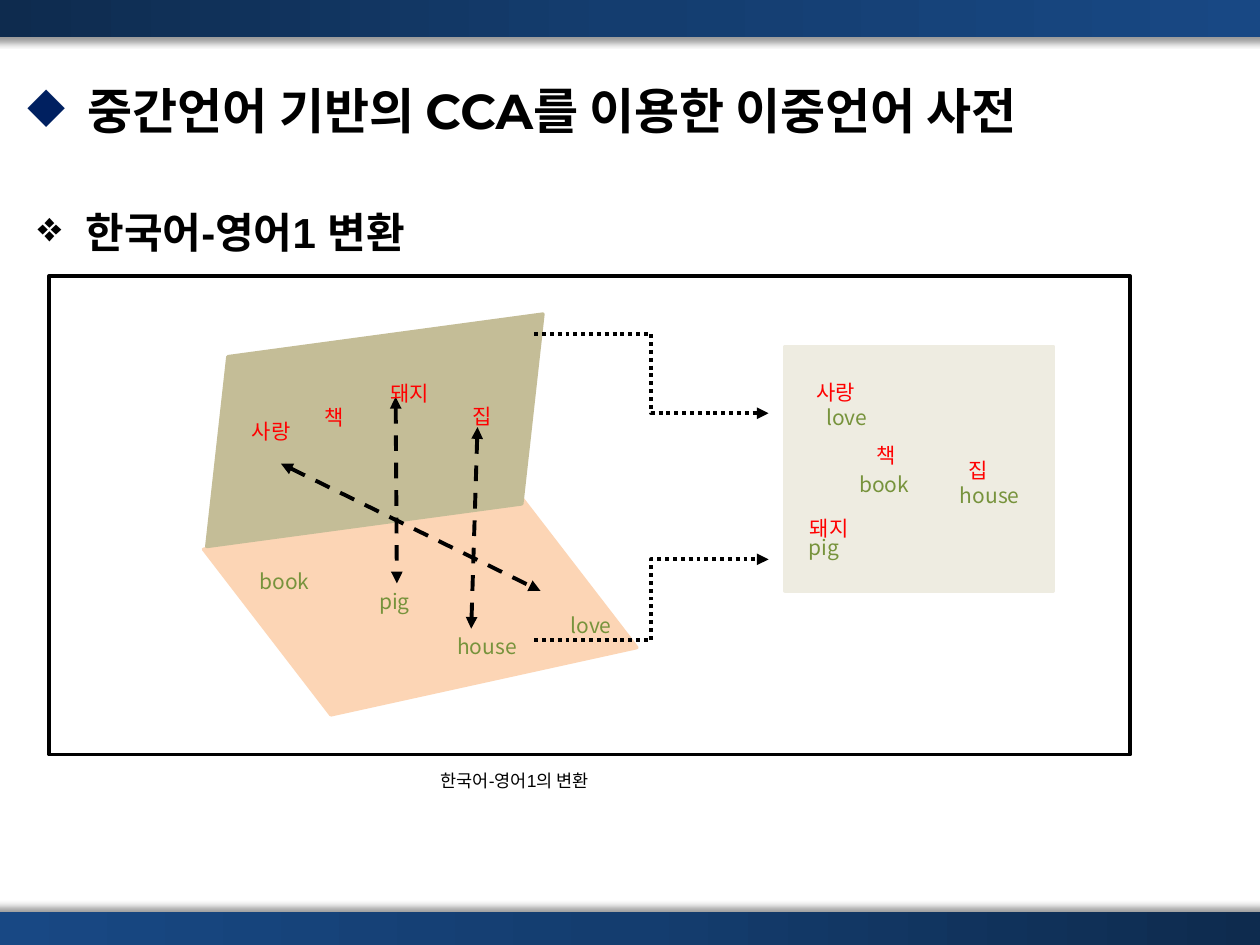
from copy import deepcopy
from lxml.etree import SubElement
from pptx import Presentation
from pptx.dml.color import RGBColor
from pptx.enum.dml import MSO_LINE
from pptx.enum.shapes import MSO_CONNECTOR, MSO_SHAPE
from pptx.enum.text import MSO_ANCHOR, MSO_AUTO_SIZE, PP_ALIGN
from pptx.oxml.ns import qn
from pptx.util import Inches, Pt


def rgb(value):
    return RGBColor.from_string(value)


def write(p, text, size=12, font="Noto Sans CJK KR", color="000000", bold=False):
    r = p.add_run()
    r.text = text
    r.font.size, r.font.name, r.font.bold = Pt(size), font, bold
    r.font.color.rgb = rgb(color)
    SubElement(r.font._element, qn("a:ea"), typeface="Noto Sans CJK KR")


class Deck:
    """Style and current slide, with one method per kind of element."""

    BLACK, NAVY = "000000", "002060"
    KOREAN, ENGLISH = "FF0000", "77933C"
    BAND = ("0E2B4E", "143D6F", "184884")

    def __init__(self):
        self.prs = Presentation()
        self.prs.slide_width, self.prs.slide_height = Inches(10), Inches(7.5)
        self.s = self.prs.slides.add_slide(self.prs.slide_layouts[6])

    def shape(self, kind, box, fill, line=None, rotation=0, adj=None, flip=None):
        sp = self.s.shapes.add_shape(kind, *map(Inches, box))
        sp.shadow.inherit = False
        sp.rotation = rotation
        sp.fill.solid()
        sp.fill.fore_color.rgb = rgb(fill)
        if line:
            sp.line.color.rgb = rgb(line)
            sp.line.width = Pt(2)
        else:
            sp.line.fill.background()
        if adj is not None:
            sp.adjustments[0] = adj
        if flip:
            sp._element.spPr.find(qn("a:xfrm")).set(flip, "1")
        return sp

    def band(self, top, shadow_angle, flip=None):
        box = (-0.07, top, 10.12, 0.29)
        sp = self.shape(MSO_SHAPE.RECTANGLE, box, self.BAND[0], flip=flip)
        sp.fill.gradient()
        sp.fill.gradient_angle = 0
        spPr = sp._element.spPr
        stops = spPr.find(".//" + qn("a:gsLst"))
        stops.append(deepcopy(stops[0]))
        for i, (stop, color) in enumerate(zip(sp.fill.gradient_stops, self.BAND)):
            stop.color.rgb = rgb(color)
            stop.position = i / 2
        shadow = SubElement(spPr.find(qn("a:effectLst")), qn("a:outerShdw"),
                            blurRad=str(Pt(4)), dist=str(Pt(3)),
                            dir=str(shadow_angle * 60000), rotWithShape="0")
        color = SubElement(shadow, qn("a:srgbClr"), val=self.BLACK)
        SubElement(color, qn("a:alpha"), val="40000")

    def text(self, box, text, grow=False, anchor=MSO_ANCHOR.TOP, **style):
        tf = self.s.shapes.add_textbox(*map(Inches, box)).text_frame
        tf.word_wrap = True
        tf.vertical_anchor = anchor
        if grow:
            tf.auto_size = MSO_AUTO_SIZE.SHAPE_TO_FIT_TEXT
        write(tf.paragraphs[0], text, **style)
        return tf.paragraphs[0]

    def heading(self, box, text, bullet, margin, hang, color, spacing=1.0, **style):
        p = self.text(box, text, bold=True, **style)
        p.alignment, p.line_spacing = PP_ALIGN.JUSTIFY, spacing
        pPr = p._p.get_or_add_pPr()
        pPr.set("marL", str(Inches(margin)))
        pPr.set("indent", str(-Inches(hang)))
        SubElement(SubElement(pPr, qn("a:buClr")), qn("a:srgbClr"), val=color)
        SubElement(pPr, qn("a:buChar"), char=bullet)

    def word(self, left, top, text, color, width=0.71):
        self.text((left, top, width, 0.3), text, grow=True, color=color)

    def arrow(self, start, end, kind, dash, ends=("tailEnd",)):
        c = self.s.shapes.add_connector(kind, *map(Inches, start + end))
        c.line.color.rgb = rgb(self.BLACK)
        c.line.width = Pt(2.25)
        c.line.dash_style = dash
        for end_name in ends:
            SubElement(c.line._get_or_add_ln(), qn("a:" + end_name), type="triangle")
        SubElement(c._element.spPr, qn("a:effectLst"))


def main():
    d = Deck()
    d.shape(MSO_SHAPE.RECTANGLE, (0.39, 2.19, 8.58, 3.8), "FFFFFF", d.BLACK)
    d.band(0, 90)
    d.band(7.24, 270, flip="flipH")
    d.heading((0.12, 0.44, 9.76, 0.87), "중간언어 기반의 CCA를 이용한 이중언어 사전", "◆",
              0.48, 0.48, d.NAVY, anchor=MSO_ANCHOR.MIDDLE, size=28, font="Montserrat")
    d.heading((0.2, 1.39, 9.6, 5.75), "한국어-영어1 변환", "❖",
              0.38, 0.38, d.BLACK, spacing=1.5, size=24, font="Arial")
    d.text((3.4, 6.06, 3.31, 0.27), "한국어-영어1의 변환", grow=True, size=10, font="Arial")

    d.shape(MSO_SHAPE.RECTANGLE, (6.23, 2.75, 2.13, 1.94), "EEECE1", "EEECE1")
    d.shape(MSO_SHAPE.PARALLELOGRAM, (1.74, 4, 3.19, 1.5), "FCD5B5", "FCD5B5",
            rotation=347.6, adj=0.47, flip="flipV")
    d.shape(MSO_SHAPE.PARALLELOGRAM, (1.53, 2.68, 2.89, 1.47), "C4BD97", "C4BD97",
            rotation=352.3)

    for start, end in (((2.23, 3.68), (4.29, 4.69)),
                       ((3.14, 3.15), (3.15, 4.63)),
                       ((3.79, 3.39), (3.74, 4.99))):
        d.arrow(start, end, MSO_CONNECTOR.STRAIGHT, MSO_LINE.DASH, ("headEnd", "tailEnd"))
    for y1, y2 in ((2.65, 3.28), (5.08, 4.44)):
        d.arrow((4.24, y1), (6.1, y2), MSO_CONNECTOR.ELBOW, MSO_LINE.ROUND_DOT)

    for left, top, text in ((1.9, 3.27, "사랑"), (2.48, 3.16, "책"),
                            (3, 2.97, "돼지"), (3.65, 3.15, "집"),
                            (6.38, 2.96, "사랑"), (6.86, 3.46, "책"),
                            (6.33, 4.04, "돼지"), (7.59, 3.58, "집")):
        d.word(left, top, text, d.KOREAN)
    for left, top, text in ((4.43, 4.81, "love"), (1.96, 4.46, "book"),
                            (2.91, 4.62, "pig"), (3.53, 4.98, "house"),
                            (6.46, 3.16, "love"), (6.72, 3.69, "book"),
                            (6.32, 4.19, "pig"), (7.52, 3.78, "house")):
        d.word(left, top, text, d.ENGLISH)
    d.prs.save("out.pptx")


if __name__ == "__main__":
    main()
